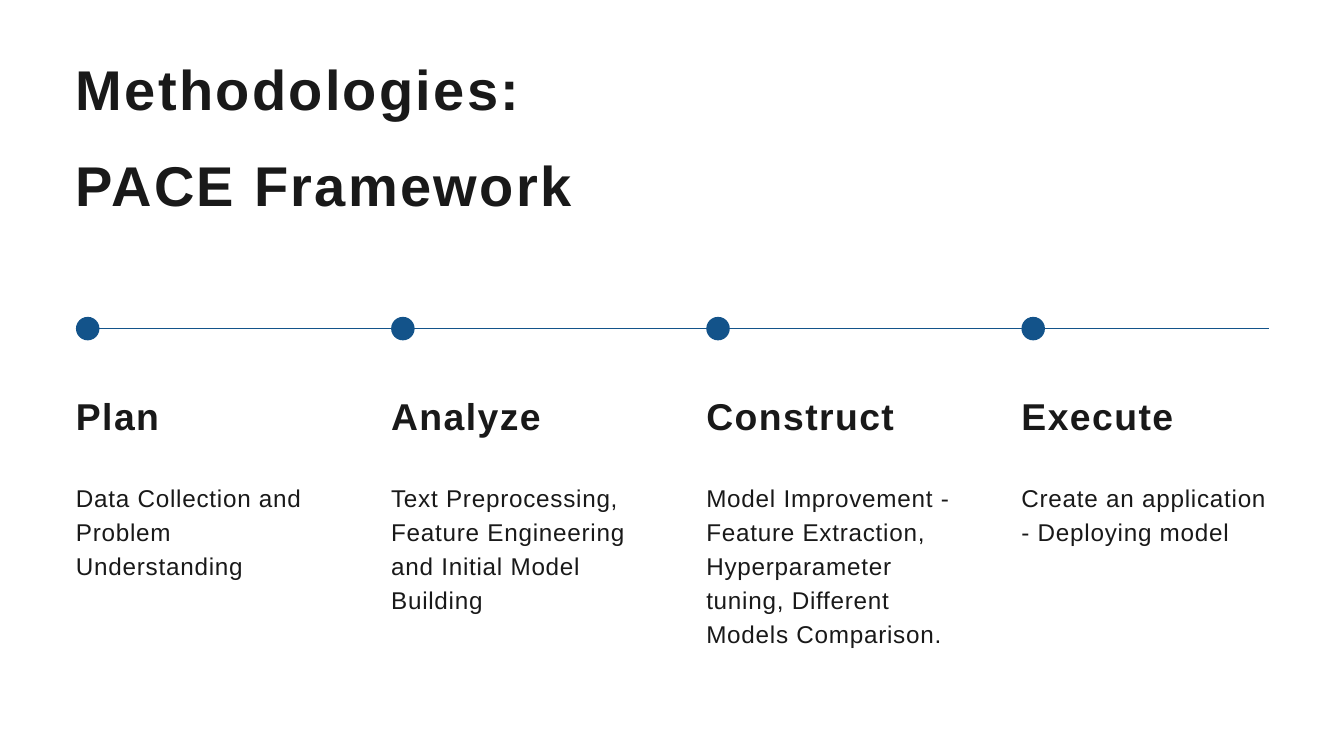
from dataclasses import dataclass

from lxml.etree import SubElement
from pptx import Presentation
from pptx.dml.color import RGBColor
from pptx.enum.shapes import MSO_CONNECTOR, MSO_SHAPE
from pptx.oxml.ns import qn
from pptx.util import Inches, Pt

WIDTH, HEIGHT = 20, 11.25
LEFT, PITCH, COLUMN_WIDTH = 1.13, 4.69, 3.68
CONTENT_WIDTH = 3 * PITCH + COLUMN_WIDTH
AXIS_Y, DOT = 4.89, 0.35
BLUE, INK = "13538A", "191919"


@dataclass(frozen=True)
class Style:
    size: float
    leading: float
    tracking: float
    bold: bool


@dataclass(frozen=True)
class Stage:
    name: str
    detail: str
    lines: int


TITLE = Style(60, 102, 2.5, True)
HEADING = Style(40, 52, 1.6, True)
BODY = Style(26, 36.4, 0.8, False)

STAGES = [
    Stage("Plan", "Data Collection and Problem Understanding", 3),
    Stage("Analyze", "Text Preprocessing, Feature Engineering and Initial Model Building", 4),
    Stage("Construct", "Model Improvement - Feature Extraction, Hyperparameter tuning, "
          "Different Models Comparison.", 5),
    Stage("Execute", "Create an application - Deploying model", 2),
]


def rgb(value: str) -> RGBColor:
    return RGBColor.from_string(value)


def add_text(s, x: float, y: float, w: float, h: float, lines: list[str], style: Style) -> None:
    tf = s.shapes.add_textbox(Inches(x), Inches(y), Inches(w), Inches(h)).text_frame
    tf.word_wrap = True
    tf.margin_left = tf.margin_top = tf.margin_right = tf.margin_bottom = 0
    for i, line in enumerate(lines):
        p = tf.add_paragraph() if i else tf.paragraphs[0]
        p.line_spacing = Pt(style.leading)
        p.font.name = "Arial"
        p.font.size = Pt(style.size)
        p.font.bold = style.bold
        p.font.color.rgb = rgb(INK)
        r = p.add_run()
        r.text = line
        r._r.get_or_add_rPr().set("spc", str(round(style.tracking * 100)))


def add_axis(s) -> None:
    y = Inches(AXIS_Y)
    line = s.shapes.add_connector(MSO_CONNECTOR.STRAIGHT, Inches(LEFT + DOT / 2), y,
                                  Inches(LEFT + CONTENT_WIDTH), y)
    line.line.color.rgb = rgb(BLUE)
    line.line.width = Pt(1.5)
    SubElement(line._element.spPr, qn("a:effectLst"))


def add_dot(s, x: float) -> None:
    sp = s.shapes.add_shape(MSO_SHAPE.OVAL, Inches(x), Inches(AXIS_Y - DOT / 2),
                            Inches(DOT), Inches(DOT))
    sp.shadow.inherit = False
    sp.fill.solid()
    sp.fill.fore_color.rgb = rgb(BLUE)
    sp.line.fill.background()


def add_stage(s, column: int, stage: Stage) -> None:
    x = LEFT + column * PITCH
    add_dot(s, x)
    add_text(s, x, 5.79, COLUMN_WIDTH, 0.67, [stage.name], HEADING)
    add_text(s, x, 7.12, COLUMN_WIDTH, stage.lines * 0.5, [stage.detail], BODY)


def main() -> None:
    prs = Presentation()
    prs.slide_width, prs.slide_height = Inches(WIDTH), Inches(HEIGHT)
    s = prs.slides.add_slide(prs.slide_layouts[6])
    add_axis(s)
    add_text(s, LEFT, 0.4, CONTENT_WIDTH, 2.77, ["Methodologies:", "PACE Framework"], TITLE)
    for column, stage in enumerate(STAGES):
        add_stage(s, column, stage)
    prs.save("out.pptx")


if __name__ == "__main__":
    main()
